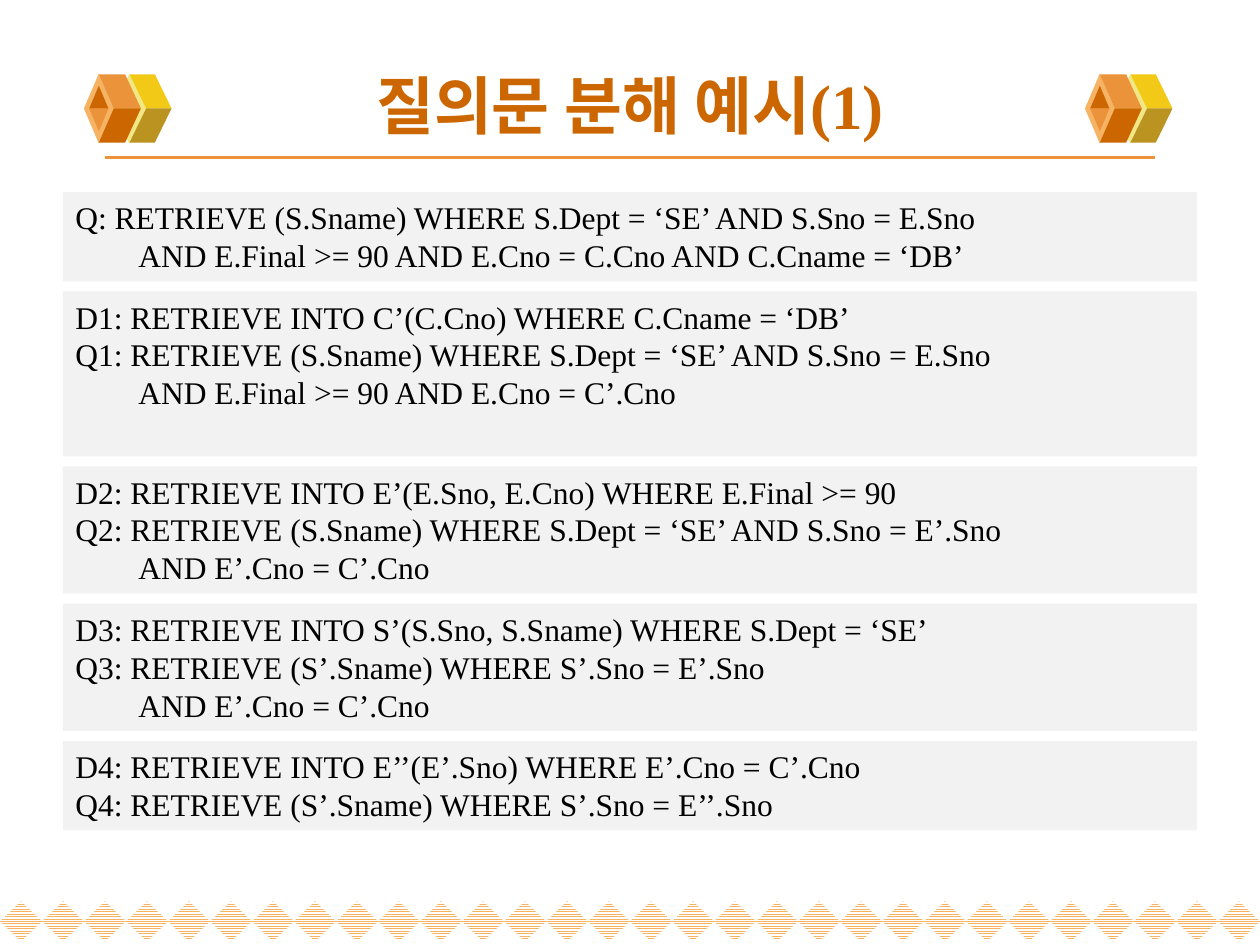
from lxml import etree
from pptx import Presentation
from pptx.dml.color import RGBColor
from pptx.enum.dml import MSO_PATTERN
from pptx.enum.shapes import MSO_CONNECTOR, MSO_SHAPE
from pptx.enum.text import MSO_ANCHOR, PP_ALIGN
from pptx.oxml.ns import qn
from pptx.util import Pt

WIDTH, HEIGHT = 720, 540


def rgb(value):
    return RGBColor.from_string(value)


class Deck:
    font = "Times New Roman"
    dark, mid, light = "CC6600", "EB933B", "F5B363"
    pale, yellow, olive = "F1E785", "F3C917", "BB9321"
    panel_fill, ink, white = "F2F2F2", "000000", "FFFFFF"

    def __init__(self, prs):
        self.s = prs.slides.add_slide(prs.slide_layouts[6])

    def shape(self, kind, x, y, w, h, color):
        sp = self.s.shapes.add_shape(kind, Pt(x), Pt(y), Pt(w), Pt(h))
        return self.paint(sp, color)

    def paint(self, sp, color):
        sp.shadow.inherit = False
        sp.fill.solid()
        sp.fill.fore_color.rgb = rgb(color)
        sp.line.fill.background()
        return sp

    def polygon(self, points, color):
        start, *rest = [(Pt(x), Pt(y)) for x, y in points]
        builder = self.s.shapes.build_freeform(*start)
        builder.add_line_segments(rest, close=True)
        return self.paint(builder.convert_to_shape(), color)

    def hatched_diamond(self, x, y, w, h):
        sp = self.shape(MSO_SHAPE.DIAMOND, x, y, w, h, self.light)
        sp.fill.patterned()
        sp.fill.pattern = MSO_PATTERN.NARROW_HORIZONTAL
        sp.fill.fore_color.rgb = rgb(self.light)
        sp.fill.back_color.rgb = rgb(self.white)

    def rule(self, x1, x2, y):
        line = self.s.shapes.add_connector(
            MSO_CONNECTOR.STRAIGHT, Pt(x1), Pt(y), Pt(x2), Pt(y))
        line.line.color.rgb = rgb(self.mid)
        line.line.width = Pt(2.25)
        etree.SubElement(line._element.spPr, qn("a:effectLst"))

    def cube(self, x):
        top, middle, bottom = 42.5, 62, 81.5

        def face(left, right, tip, tail, edge, color):
            self.polygon([(x + left, middle), (x + right, middle),
                          (x + tip, edge), (x + tail, edge)], color)

        def triangle(apex, color):
            self.polygon([(x + 8.5, apex), (x + 3, middle),
                          (x + 14, middle)], color)

        self.shape(MSO_SHAPE.DIAMOND, x + 14, top, 24, 39.5, self.pale)
        face(35.5, 50, 40.5, 26, top, self.yellow)
        face(35.5, 50, 40.5, 26, bottom, self.olive)
        self.shape(MSO_SHAPE.DIAMOND, x, 42, 17, 40, self.light)
        face(17, 32.5, 23.5, 8.5, top, self.mid)
        face(17, 32.5, 23.5, 8.5, bottom, self.dark)
        triangle(49, self.dark)
        triangle(75, self.mid)

    def text(self, tf, lines, size, color, align, anchor, bold=False):
        tf.word_wrap = True
        tf.vertical_anchor = anchor
        for i, line in enumerate(lines):
            p = tf.paragraphs[0] if i == 0 else tf.add_paragraph()
            p.alignment = align
            r = p.add_run()
            r.text = line
            r.font.name = self.font
            r.font.size = Pt(size)
            r.font.bold = bold
            r.font.color.rgb = rgb(color)

    def title(self, line, x, y, w, h):
        sp = self.s.shapes.add_textbox(Pt(x), Pt(y), Pt(w), Pt(h))
        self.text(sp.text_frame, [line], 36, self.dark,
                  PP_ALIGN.CENTER, MSO_ANCHOR.MIDDLE, True)

    def panel(self, lines, x, y, w, h):
        sp = self.shape(MSO_SHAPE.RECTANGLE, x, y, w, h, self.panel_fill)
        self.text(sp.text_frame, lines, 18, self.ink,
                  PP_ALIGN.LEFT, MSO_ANCHOR.TOP)


PANELS = [
    (51, ["Q: RETRIEVE (S.Sname) WHERE S.Dept = ‘SE’ AND S.Sno = E.Sno",
          "\tAND E.Final >= 90 AND E.Cno = C.Cno AND C.Cname = ‘DB’"]),
    (94.25, ["D1: RETRIEVE INTO C’(C.Cno) WHERE C.Cname = ‘DB’",
             "Q1: RETRIEVE (S.Sname) WHERE S.Dept = ‘SE’ AND S.Sno = E.Sno",
             "\tAND E.Final >= 90 AND E.Cno = C’.Cno"]),
    (72.75, ["D2: RETRIEVE INTO E’(E.Sno, E.Cno) WHERE E.Final >= 90",
             "Q2: RETRIEVE (S.Sname) WHERE S.Dept = ‘SE’ AND S.Sno = E’.Sno",
             "\tAND E’.Cno = C’.Cno"]),
    (72.75, ["D3: RETRIEVE INTO S’(S.Sno, S.Sname) WHERE S.Dept = ‘SE’",
             "Q3: RETRIEVE (S’.Sname) WHERE S’.Sno = E’.Sno",
             "\tAND E’.Cno = C’.Cno"]),
    (51, ["D4: RETRIEVE INTO E’’(E’.Sno) WHERE E’.Cno = C’.Cno",
          "Q4: RETRIEVE (S’.Sname) WHERE S’.Sno = E’’.Sno"]),
]


def main():
    prs = Presentation()
    prs.slide_width, prs.slide_height = Pt(WIDTH), Pt(HEIGHT)
    deck = Deck(prs)

    count = 30
    step = WIDTH / count
    for i in range(count):
        deck.hatched_diamond(i * step, 515, step, 23)

    deck.rule(60, 660, 90)
    for x in (48, 620):
        deck.cube(x)
    deck.title("질의문 분해 예시(1)", 36, 29, 648, 61)

    y, gap = 109.75, 5.75
    for height, lines in PANELS:
        deck.panel(lines, 36, y, 648, height)
        y += height + gap

    prs.save("out.pptx")


if __name__ == "__main__":
    main()
